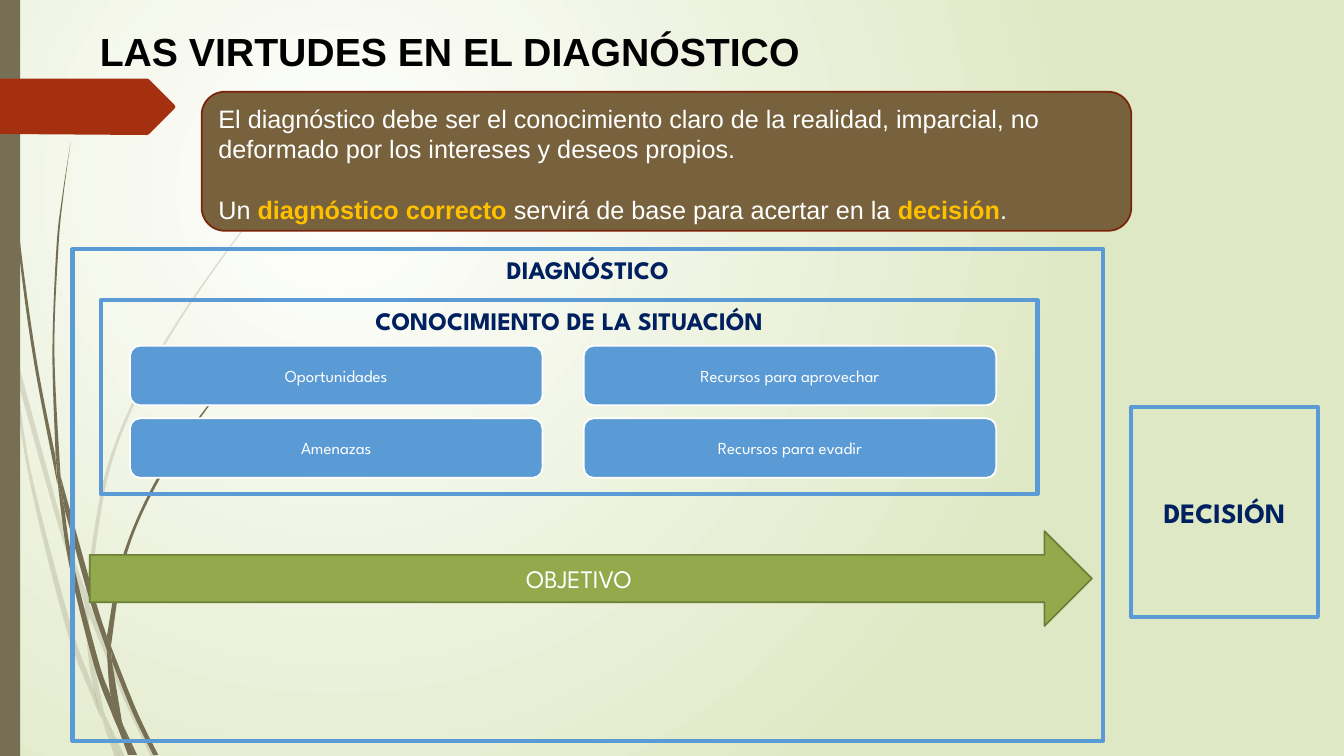
"""Build the slide on the virtues of a sound diagnosis."""
from dataclasses import dataclass

import lxml.etree
import pptx
import pptx.dml.color
import pptx.enum.shapes
import pptx.enum.text
import pptx.oxml
import pptx.oxml.ns
import pptx.util

Inches = pptx.util.Inches
Shape = pptx.enum.shapes.MSO_SHAPE
Align = pptx.enum.text.PP_ALIGN
Anchor = pptx.enum.text.MSO_ANCHOR
qn = pptx.oxml.ns.qn
Point = tuple[float, float]

COLORS = {
    "white": "FFFFFF", "black": "000000", "lime": "DFE8C4", "olive": "766F54",
    "red": "A53010", "blue": "5B9BD5", "navy": "002060", "green": "92AA4C",
    "moss": "6C7E38", "brown": "77623D", "rust": "7A240C", "gold": "FFC000",
}
DISPLAY_FONT = "League Spartan"
BODY_FONT = "Arial"


@dataclass
class Wisp:
    """A grass blade outlined by a downward edge and an upward edge."""
    down: list[Point]
    up: list[Point]


@dataclass
class Span:
    """A stretch of text in one style."""
    text: str
    size: float = 18
    color: str = "white"
    bold: bool = False
    font: str = DISPLAY_FONT


@dataclass
class Box:
    """A preset shape with its paragraphs."""
    kind: int
    frame: tuple[float, float, float, float]
    paras: list[list[Span]]
    fill: str | None = None
    line: str | None = "blue"
    weight: float = 3
    anchor: int = Anchor.MIDDLE
    align: int = Align.CENTER
    gap: float = 0


PALE_WISPS = [
    Wisp([(0.11, 3.5), (0.09, 3.22), (0, 2.82)], [(0, 2.99), (0.1, 3.44)]),
    Wisp([(0.17, 3.76), (0.58, 5.22), (0.84, 5.99)], [(0.85, 5.86), (0.62, 5.2), (0.14, 3.45)]),
    Wisp([(0.88, 6.1), (1.23, 6.94), (1.5, 7.51)],
         [(1.55, 7.51), (1.27, 6.92), (0.92, 6.07), (0.88, 5.96)]),
    Wisp([(1.05, 7.11), (1.19, 7.51)], [(1.24, 7.51)]),
    Wisp([(0.11, 3.5), (0.28, 4.7), (0.65, 6.21), (0.92, 6.93), (1.01, 7.14)],
         [(0.99, 7.07), (0.93, 6.83), (0.7, 6.19), (0.31, 4.69), (0.17, 3.76)]),
    Wisp([(0.84, 5.99), (0.87, 6.46), (0.93, 6.83), (1.05, 7.11)],
         [(1.03, 7.06), (0.91, 6.46), (0.88, 6.1)]),
    Wisp([(3.12, 1.53), (2.89, 1.75), (2.68, 1.97), (2.28, 2.44), (1.58, 3.48), (1.07, 4.61),
          (0.85, 5.86)],
         [(0.88, 5.96), (1.1, 4.62), (1.6, 3.49), (2.29, 2.45), (2.68, 1.98), (2.9, 1.75),
          (3.12, 1.54)]),
    Wisp([(1.01, 7.14), (1.14, 7.51)], [(1.19, 7.51)]),
    Wisp([(0.88, 6.1), (0.88, 5.96)], [(0.85, 5.86), (0.84, 5.99)]),
    Wisp([(0.93, 6.83), (0.99, 7.07), (1.19, 7.51)], [(1.05, 7.11), (0.96, 6.92)]),
]
DARK_WISPS = [
    Wisp([(0.03, 0), (0.04, 0.48), (0.07, 1.1), (0.17, 2.33), (0.33, 3.55), (0.57, 4.81)],
         [(0.55, 4.53), (0.36, 3.55), (0.19, 2.32), (0.08, 1.09), (0.05, 0.48), (0.04, 0)]),
    Wisp([(0.64, 5.05), (0.88, 5.92), (1.06, 6.45)], [(1.06, 6.31), (0.93, 5.9), (0.6, 4.72)]),
    Wisp([(1.11, 6.56), (1.32, 7.08), (1.52, 7.49)], [(1.57, 7.49), (1.36, 7.06), (1.1, 6.41)]),
    Wisp([(0.57, 4.77), (0.68, 5.57), (0.93, 6.59), (1.11, 7.08), (1.17, 7.22)],
         [(1.16, 7.17), (1.1, 6.91), (0.98, 6.57), (0.72, 5.56), (0.64, 5.05)]),
    Wisp([(0.7, 1.41), (0.62, 1.93), (0.56, 2.45), (0.52, 3.49), (0.55, 4.49)],
         [(0.6, 4.72), (0.54, 3.49), (0.58, 2.45), (0.63, 1.93), (0.7, 1.41)]),
    Wisp([(1.22, 7.19), (1.33, 7.49)], [(1.36, 7.49)]),
    Wisp([(0.57, 4.77), (0.64, 5.05)], [(0.6, 4.72), (0.55, 4.49)]),
    Wisp([(2.6, 3.44), (2.45, 3.58), (2.31, 3.73), (2.04, 4.05), (1.56, 4.74), (1.22, 5.51),
          (1.06, 6.31)],
         [(1.1, 6.41), (1.25, 5.52), (1.58, 4.76), (2.05, 4.06), (2.31, 3.74), (2.45, 3.59),
          (2.61, 3.44)]),
    Wisp([(1.17, 7.22), (1.27, 7.49)], [(1.31, 7.49)]),
    Wisp([(1.06, 6.45), (1.1, 6.91), (1.22, 7.19)], [(1.21, 7.16), (1.11, 6.56)]),
    Wisp([(1.06, 6.31), (1.06, 6.45)], [(1.11, 6.56), (1.1, 6.41)]),
    Wisp([(1.1, 6.91), (1.17, 7.22), (1.3, 7.49)], [(1.33, 7.49), (1.22, 7.19), (1.16, 7.06)]),
]
TAG = [(0, 0.78), (1.46, 0.78), (1.48, 0.79), (1.73, 1.04), (1.74, 1.06), (1.73, 1.08),
       (1.48, 1.33), (1.46, 1.34), (0, 1.33)]
FACTORS = [["Oportunidades", "Recursos para aprovechar"], ["Amenazas", "Recursos para evadir"]]
INTRO = [
    [Span("El diagnóstico debe ser el conocimiento claro de la realidad, imparcial, no "
          "deformado por los intereses y deseos propios.", font=BODY_FONT)],
    [Span(text, 18, "gold" if bold else "white", bold, BODY_FONT) for text, bold in (
        ("Un ", False), ("diagnóstico correcto ", True),
        ("servirá de base para acertar en la ", False), ("decisión", True), (".", False))],
]
BAND = Box(Shape.RECTANGLE, (0, 0, 0.2, 7.5), [], "olive", None)
BOXES = [
    Box(Shape.RECTANGLE, (0.72, 2.47, 10.22, 4.88), [[Span("DIAGNÓSTICO", 18, "navy", True)]],
        anchor=Anchor.TOP),
    Box(Shape.RIGHT_ARROW, (0.89, 5.27, 9.94, 0.94), [[Span("OBJETIVO")]], "green", "moss", 1.25),
    Box(Shape.RECTANGLE, (1, 2.98, 9.29, 1.92),
        [[Span("CONOCIMIENTO DE LA SITUACIÓN", 18, "navy", True)]], anchor=Anchor.TOP),
    *[Box(Shape.ROUNDED_RECTANGLE, (1.29 + 4.5 * col, 3.43 + 0.72 * row, 4.09, 0.59),
          [[Span(FACTORS[row][col], 12)]], "blue", "white", 1.25)
      for col in range(2) for row in range(2)],
    Box(Shape.RECTANGLE, (11.22, 4.04, 1.85, 2.08), [[Span("DECISIÓN", 20, "navy", True)]]),
    Box(Shape.ROUNDED_RECTANGLE, (2, 0.91, 9.22, 1.38), INTRO, "brown", "rust", 1.25,
        Anchor.TOP, Align.LEFT, 21.5),
]


def rgb(name: str) -> pptx.dml.color.RGBColor:
    """Return the named colour."""
    return pptx.dml.color.RGBColor.from_string(COLORS[name])


def draw_outline(shapes, points: list[Point], color: str):
    """Draw a filled closed outline."""
    start, *rest = [(Inches(x), Inches(y)) for x, y in points]
    builder = shapes.build_freeform(*start)
    builder.add_line_segments(rest, close=True)
    shape = builder.convert_to_shape()
    shape.shadow.inherit = False
    shape.fill.solid()
    shape.fill.fore_color.rgb = rgb(color)
    shape.line.fill.background()
    return shape


def draw_wisp(shapes, wisp: Wisp, alpha: int) -> None:
    """Draw a blade with curved edges, with opacity in percent."""
    points, joint = wisp.down + wisp.up, len(wisp.down)
    shape = draw_outline(shapes, points, "olive")
    local = [(Inches(x) - shape.left, Inches(y) - shape.top) for x, y in points]
    for end, line in enumerate(shape._element.findall(".//" + qn("a:lnTo")), start=1):
        if end == joint:
            continue
        first, last = (0, joint - 1) if end < joint else (joint, len(points) - 1)
        a, b = local[max(end - 2, first)], local[end - 1]
        c, d = local[end], local[min(end + 1, last)]
        handles = ([q + (r - p) / 6 for p, q, r in zip(a, b, c)],
                   [q - (r - p) / 6 for p, q, r in zip(b, c, d)])
        line.tag = qn("a:cubicBezTo")
        for place, (x, y) in enumerate(handles):
            line.insert(place, line.makeelement(qn("a:pt"), {"x": str(round(x)), "y": str(round(y))}))
    if alpha < 100:
        tone = shape._element.find(".//" + qn("a:srgbClr"))
        lxml.etree.SubElement(tone, qn("a:alpha"), val=str(alpha * 1000))


def add_span(para, span: Span) -> None:
    """Add a styled run to a paragraph."""
    run = para.add_run()
    run.text = span.text
    run.font.name = span.font
    run.font.size = pptx.util.Pt(span.size)
    run.font.bold = span.bold
    run.font.color.rgb = rgb(span.color)


def draw_box(page, box: Box) -> None:
    """Draw a preset shape and its text."""
    shape = page.shapes.add_shape(box.kind, *map(Inches, box.frame))
    shape.shadow.inherit = False
    for paint, color in ((shape.fill, box.fill), (shape.line.fill, box.line)):
        if color:
            paint.solid()
            paint.fore_color.rgb = rgb(color)
        else:
            paint.background()
    shape.line.width = pptx.util.Pt(box.weight)
    frame = shape.text_frame
    frame.word_wrap = True
    frame.vertical_anchor = box.anchor
    for index, spans in enumerate(box.paras):
        para = frame.add_paragraph() if index else frame.paragraphs[0]
        para.alignment = box.align
        para.space_before = pptx.util.Pt(box.gap) if index else None
        for span in spans:
            add_span(para, span)


def paint_background(page) -> None:
    """Fill the page with a radial gradient."""
    fill = page.background.fill
    fill.gradient()
    for stop, color, position in zip(fill.gradient_stops, ("white", "lime"), (0, 1)):
        stop.color.rgb = rgb(color)
        stop.position = position
    linear = page.background._cSld.find(".//" + qn("a:lin"))
    linear.getparent().replace(linear, pptx.oxml.parse_xml(
        f'<a:path {pptx.oxml.ns.nsdecls("a")} path="circle">'
        '<a:fillToRect l="50000" t="50000" r="100000" b="100000"/></a:path>'))


def write_title(page) -> None:
    """Place and format the title."""
    title = page.shapes.title
    title.left, title.top, title.width, title.height = map(Inches, (0.89, 0.22, 12.29, 0.57))
    title.text_frame.vertical_anchor = Anchor.TOP
    title.text_frame.auto_size = pptx.enum.text.MSO_AUTO_SIZE.SHAPE_TO_FIT_TEXT
    para = title.text_frame.paragraphs[0]
    para.alignment = Align.LEFT
    add_span(para, Span("LAS VIRTUDES EN EL DIAGNÓSTICO", 28, "black", True, BODY_FONT))


def main() -> None:
    """Build and save the deck."""
    deck = pptx.Presentation()
    deck.slide_width, deck.slide_height = Inches(13.33), Inches(7.5)
    page = deck.slides.add_slide(deck.slide_layouts[5])
    paint_background(page)
    write_title(page)
    for wisps, alpha in ((PALE_WISPS, 20), (DARK_WISPS, 100)):
        group = page.shapes.add_group_shape()
        for wisp in wisps:
            draw_wisp(group.shapes, wisp, alpha)
    draw_box(page, BAND)
    draw_outline(page.shapes, TAG, "red")
    for box in BOXES:
        draw_box(page, box)
    deck.save("out.pptx")


if __name__ == "__main__":
    main()
